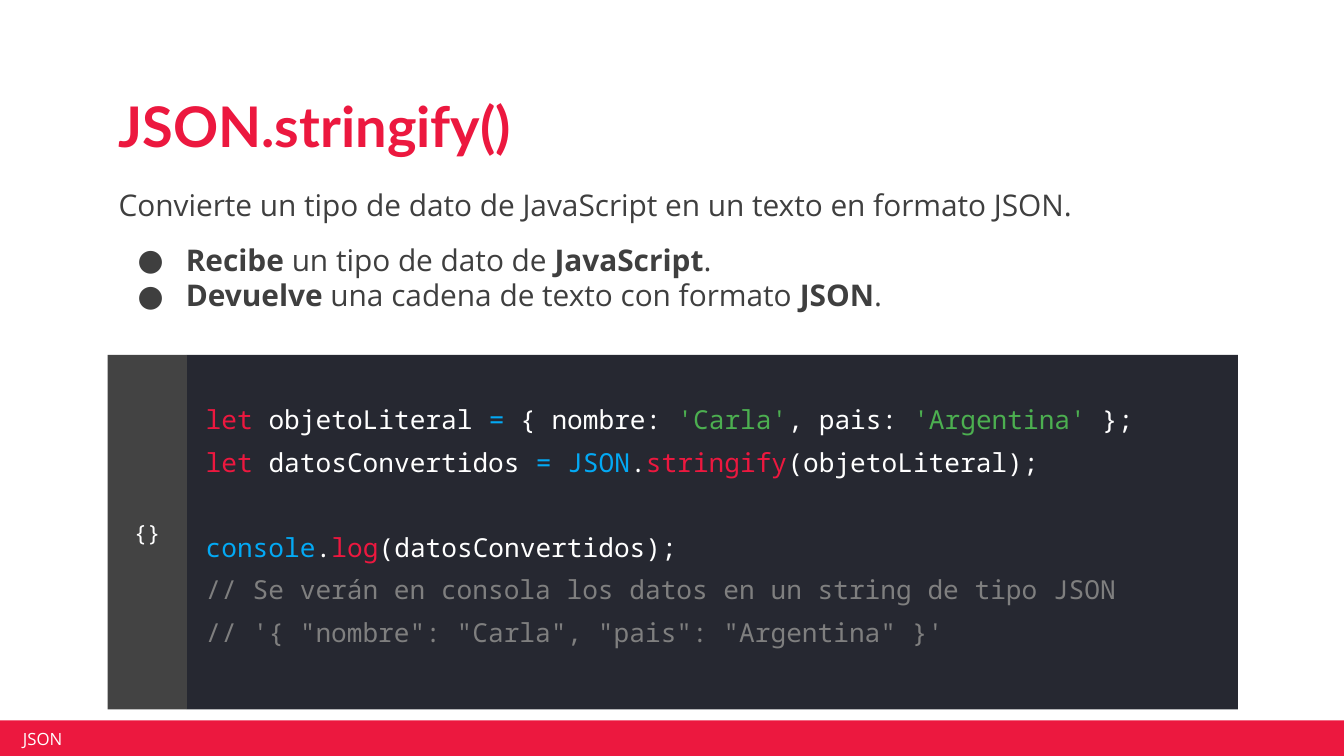
from lxml import etree
from pptx import Presentation
from pptx.dml.color import RGBColor
from pptx.enum.shapes import MSO_SHAPE as Shape
from pptx.enum.text import MSO_ANCHOR as Anchor, PP_ALIGN as Align
from pptx.oxml.ns import qn
from pptx.util import Inches, Pt

WIDTH = Inches(10)
HEIGHT = WIDTH * 9 // 16
COLOURS = {
    "red": "EC183F", "white": "FFFFFF", "blue": "03A9F4", "green": "4CAF50",
    "comment": "7F7F7F", "text": "3F3F3F", "code": "262831", "gutter": "434343",
}
LEADING = 1.2  # line pitch as a multiple of the font size

# Left, top, width, height in percent of the slide
TITLE_AREA = (7.85, 10.67, 84.3, 12.27)
BODY_AREA = (7.85, 22.93, 84.3, 9.42)
GUTTER_AREA = (8, 46.93, 5.9, 46.93)
CODE_AREA = (13.9, 46.93, 78.2, 46.93)
BAR_AREA = (-0.2, 95.29, 100.3, 4.8)
FOOTER_AREA = (1.2, 96.36, 23.9, 2.67)

# Each line is a list of (text, colour) runs
CODE = [
    [("let", "red"), (" objetoLiteral ", "white"), ("=", "blue"),
     (" { nombre: ", "white"), ("'Carla'", "green"), (", pais: ", "white"),
     ("'Argentina'", "green"), (" };", "white")],
    [("let", "red"), (" datosConvertidos ", "white"), ("= JSON", "blue"),
     (".", "white"), ("stringify", "red"), ("(objetoLiteral);", "white")],
    [("console", "blue"), (".", "white"), ("log", "red"),
     ("(datosConvertidos);", "white")],
    [("// Se verán en consola los datos en un string de tipo JSON", "comment")],
    [("// '{ \"nombre\": \"Carla\", \"pais\": \"Argentina\" }'", "comment")],
]
# Each bullet is a list of (text, bold) runs
BULLETS = [
    [("Recibe ", True), ("un tipo de dato de ", False),
     ("JavaScript", True), (".", False)],
    [("Devuelve ", True), ("una cadena de texto con formato ", False),
     ("JSON", True), (".", False)],
]


def colour(name):
    return RGBColor.from_string(COLOURS[name])


def place(area):
    sides = (WIDTH, HEIGHT, WIDTH, HEIGHT)
    return [round(share * side / 100) for share, side in zip(area, sides)]


def set_attributes(target, values):
    for name, value in values.items():
        setattr(target, name, value)


def set_frame(shape, anchor, insets=(0.1, 0.1, 0.1, 0.1)):
    left, top, right, bottom = map(Inches, insets)
    frame = shape.text_frame
    set_attributes(frame, {
        "word_wrap": True, "vertical_anchor": anchor, "margin_left": left,
        "margin_top": top, "margin_right": right, "margin_bottom": bottom,
    })
    return frame


def add_block(shapes, area, fill):
    shape = shapes.add_shape(Shape.RECTANGLE, *place(area))
    shape.shadow.inherit = False
    shape.fill.solid()
    shape.fill.fore_color.rgb = colour(fill)
    shape.line.fill.background()
    return shape


def add_text_box(slide, area, anchor, **frame_values):
    return set_frame(slide.shapes.add_textbox(*place(area)), anchor, **frame_values)


def add_paragraph(frame, runs, font, size, first=False, **values):
    """Add a paragraph of (text, colour, bold) runs."""
    paragraph = frame.paragraphs[0] if first else frame.add_paragraph()
    set_attributes(paragraph, {"alignment": Align.LEFT, **values})
    for text, tint, bold in runs:
        run = paragraph.add_run()
        run.text = text
        set_attributes(run.font, {"name": font, "size": Pt(size), "bold": bold})
        run.font.color.rgb = colour(tint)
    return paragraph


def add_bullet(paragraph, tint, font):
    properties = paragraph._p.get_or_add_pPr()
    properties.set("marL", str(Inches(0.5)))
    properties.set("indent", str(Inches(-0.36)))
    bullet_colour = etree.SubElement(properties, qn("a:buClr"))
    etree.SubElement(bullet_colour, qn("a:srgbClr"), val=COLOURS[tint])
    etree.SubElement(properties, qn("a:buFont"), typeface=font)
    etree.SubElement(properties, qn("a:buChar"), char="●")


def add_body(slide):
    frame = add_text_box(slide, BODY_AREA, Anchor.TOP)
    pitch = Pt(16 * LEADING)
    intro = "Convierte un tipo de dato de JavaScript en un texto en formato JSON."
    add_paragraph(frame, [(intro, "text", False)], "Open Sans", 16, first=True,
                  line_spacing=pitch, space_before=Pt(10))
    for index, line in enumerate(BULLETS):
        runs = [(text, "text", bold) for text, bold in line]
        paragraph = add_paragraph(frame, runs, "Open Sans", 16, line_spacing=pitch,
                                  space_before=Pt(0 if index else 10))
        add_bullet(paragraph, "text", "Open Sans")


def add_code_panel(slide):
    group = slide.shapes.add_group_shape()
    panel = add_block(group.shapes, CODE_AREA, "code")
    frame = set_frame(panel, Anchor.MIDDLE, (0.14, 0, 0.1, 0.1))
    pitch = 14 * LEADING
    for index, line in enumerate(CODE):
        # One line of room sets the output statements apart
        gap = 6 + (pitch + 6 if index == 2 else 0)
        runs = [(text, tint, False) for text, tint in line]
        add_paragraph(frame, runs, "Noto Sans Mono", 14, first=index == 0,
                      line_spacing=Pt(pitch), space_before=Pt(gap))

    gutter = add_block(group.shapes, GUTTER_AREA, "gutter")
    add_paragraph(set_frame(gutter, Anchor.MIDDLE), [("{}", "white", False)],
                  "Noto Sans Mono", 12, first=True, alignment=Align.CENTER)


def add_footer(slide):
    add_block(slide.shapes, BAR_AREA, "red")
    frame = add_text_box(slide, FOOTER_AREA, Anchor.MIDDLE,
                         insets=(0.05, 0.02, 0.05, 0.02))
    add_paragraph(frame, [("JSON", "white", False)], "Open Sans", 9, first=True)


def main():
    presentation = Presentation()
    set_attributes(presentation, {"slide_width": WIDTH, "slide_height": HEIGHT})
    slide = presentation.slides.add_slide(presentation.slide_layouts[6])

    # Code sample
    add_code_panel(slide)

    # Title and explanation
    title = add_text_box(slide, TITLE_AREA, Anchor.BOTTOM)
    add_paragraph(title, [("JSON.stringify()", "red", True)], "Lato", 30,
                  first=True, line_spacing=0.9)
    add_body(slide)

    # Footer
    add_footer(slide)
    presentation.save("out.pptx")


if __name__ == "__main__":
    main()
